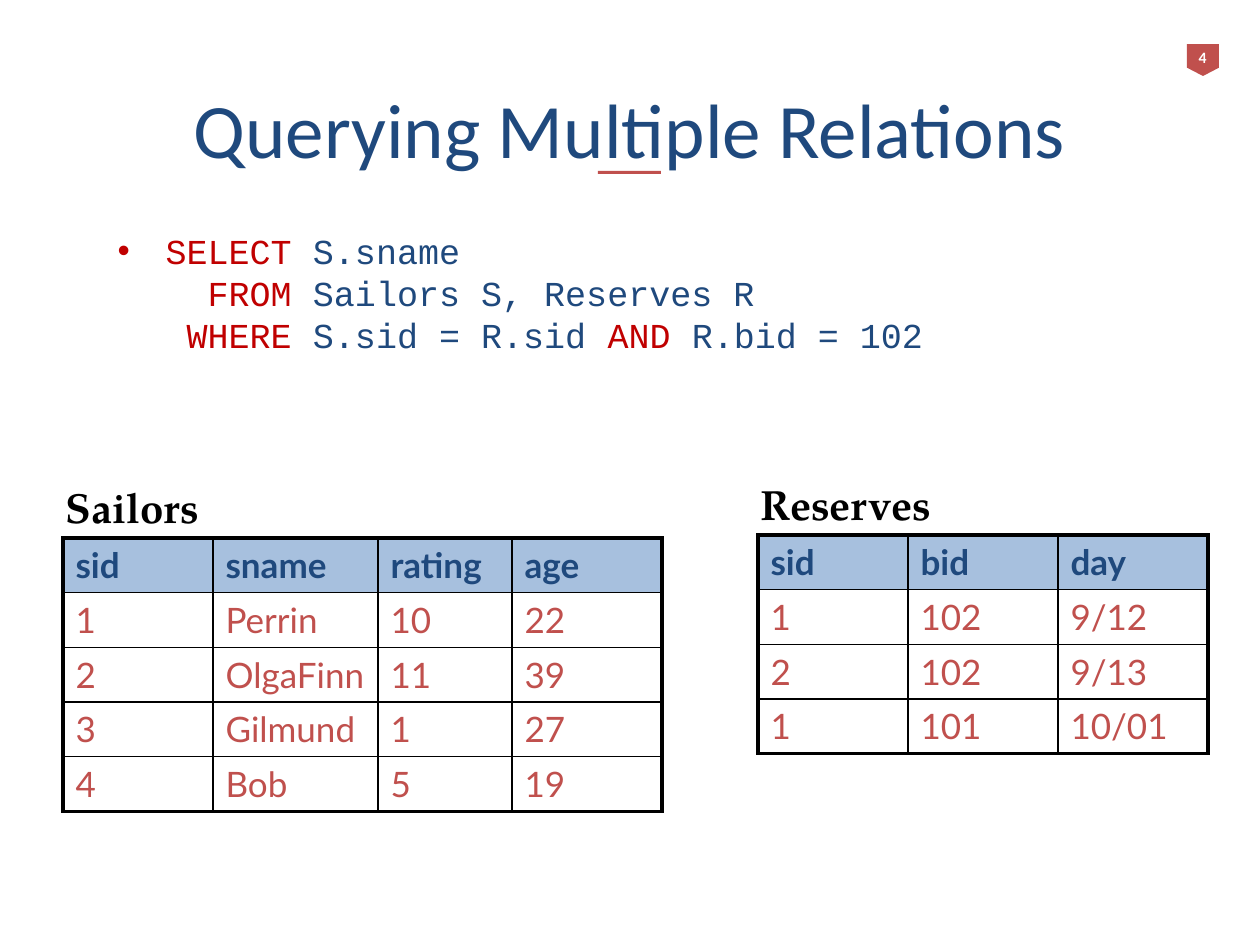
"""Build a slide on querying two relations with one SQL statement."""
from pptx import Presentation
from pptx.dml.color import RGBColor
from pptx.enum.shapes import MSO_SHAPE
from pptx.enum.text import MSO_ANCHOR, MSO_AUTO_SIZE, PP_ALIGN
from pptx.oxml import parse_xml
from pptx.oxml.ns import nsdecls
from pptx.util import Pt

PX = 914400 / 126
COLORS = {
    "navy": "1F497D",
    "red": "C0504D",
    "keyword": "C00000",
    "header": "A7C0DE",
    "black": "000000",
    "white": "FFFFFF",
}


def px(*lengths):
    return [round(length * PX) for length in lengths]


def write(frame, lines, font, size, color="navy", bold=False, align=PP_ALIGN.LEFT,
          wrap=True, fit=MSO_AUTO_SIZE.NONE):
    frame.word_wrap = wrap
    frame.auto_size = fit
    paragraph = frame.paragraphs[0]
    paragraph.alignment = align
    for index, line in enumerate(lines):
        if index:
            paragraph.add_line_break()
        for text, run_color in line if isinstance(line, list) else [(line, color)]:
            run = paragraph.add_run()
            run.text = text
            run.font.name = font
            run.font.size = Pt(size)
            run.font.bold = bold
            run.font.color.rgb = RGBColor.from_string(COLORS[run_color])


presentation = Presentation()
presentation.slide_width, presentation.slide_height = px(1260, 945)
slide = presentation.slides.add_slide(presentation.slide_layouts[1])
title, query = slide.placeholders

title.left, title.top, title.width, title.height = px(63, 92, 1134, 72)
title.text_frame.vertical_anchor = MSO_ANCHOR.MIDDLE
write(title.text_frame, ["Querying Multiple Relations"], "Calibri", 44,
      align=PP_ALIGN.CENTER, fit=MSO_AUTO_SIZE.SHAPE_TO_FIT_TEXT)

query.left, query.top, query.width, query.height = px(105, 223, 1052, 606)
write(query.text_frame, [
    [("SELECT ", "keyword"), ("S.sname", "navy")],
    [("  FROM ", "keyword"), ("Sailors S, Reserves R", "navy")],
    [(" WHERE ", "keyword"), ("S.sid = R.sid ", "navy"),
     ("AND ", "keyword"), ("R.bid = 102", "navy")],
], "Courier New", 20)
indent, = px(48)
bullet_properties = query.text_frame.paragraphs[0]._p.get_or_add_pPr()
bullet_properties.set("marL", str(indent))
bullet_properties.set("indent", str(-indent))

page_tag = slide.shapes.add_shape(MSO_SHAPE.PENTAGON, *px(1187, 44, 32, 32))
page_tag.adjustments[0] = 0.26
page_tag.rotation = 90
title_rule = slide.shapes.add_shape(MSO_SHAPE.RECTANGLE, *px(598, 171, 63, 3))
for accent in (page_tag, title_rule):
    accent.shadow.inherit = False
    accent.fill.solid()
    accent.fill.fore_color.rgb = RGBColor.from_string(COLORS["red"])
    accent.line.fill.background()

page_number = slide.shapes.add_textbox(*px(1182, 42, 41, 32))
write(page_number.text_frame, ["4"], "Calibri", 9, color="white", bold=True,
      align=PP_ALIGN.CENTER, wrap=False, fit=MSO_AUTO_SIZE.SHAPE_TO_FIT_TEXT)

relations = [
    ("Sailors", (53, 475, 160, 64), (63, 538), (150, 165, 134, 150), [
        ("sid", "sname", "rating", "age"),
        ("1", "Perrin", "10", "22"),
        ("2", "OlgaFinn", "11", "39"),
        ("3", "Gilmund", "1", "27"),
        ("4", "Bob", "5", "19"),
    ]),
    ("Reserves", (748, 472, 198, 64), (758, 535), (150, 150, 150), [
        ("sid", "bid", "day"),
        ("1", "102", "9/12"),
        ("2", "102", "9/13"),
        ("1", "101", "10/01"),
    ]),
]
ROW_HEIGHT = 54
for name, name_box, corner, widths, rows in relations:
    heading = slide.shapes.add_textbox(*px(*name_box))
    write(heading.text_frame, [name], "TeX Gyre Pagella", 24, color="black", bold=True,
          wrap=False, fit=MSO_AUTO_SIZE.SHAPE_TO_FIT_TEXT)

    relation = slide.shapes.add_table(
        len(rows), len(widths), *px(*corner, sum(widths), ROW_HEIGHT * len(rows))).table
    relation.first_row = relation.horz_banding = False
    for column, width in zip(relation.columns, px(*widths)):
        column.width = width
    for r, values in enumerate(rows):
        relation.rows[r].height, = px(ROW_HEIGHT)
        for c, value in enumerate(values):
            cell = relation.cell(r, c)
            outer_sides = {"L": c == 0, "R": c == len(widths) - 1,
                           "T": r == 0, "B": r == len(rows) - 1}
            for side, outer in outer_sides.items():
                cell._tc.get_or_add_tcPr().append(parse_xml(
                    f'<a:ln{side} {nsdecls("a")} w="{Pt(2.25 if outer else 1)}"><a:solidFill>'
                    f'<a:srgbClr val="{COLORS["black"]}"/></a:solidFill></a:ln{side}>'))
            is_header = r == 0
            if is_header:
                cell.fill.solid()
                cell.fill.fore_color.rgb = RGBColor.from_string(COLORS["header"])
            else:
                cell.fill.background()
            write(cell.text_frame, [value], "Lato", 20, bold=is_header,
                  color="navy" if is_header else "red")

presentation.save("out.pptx")
